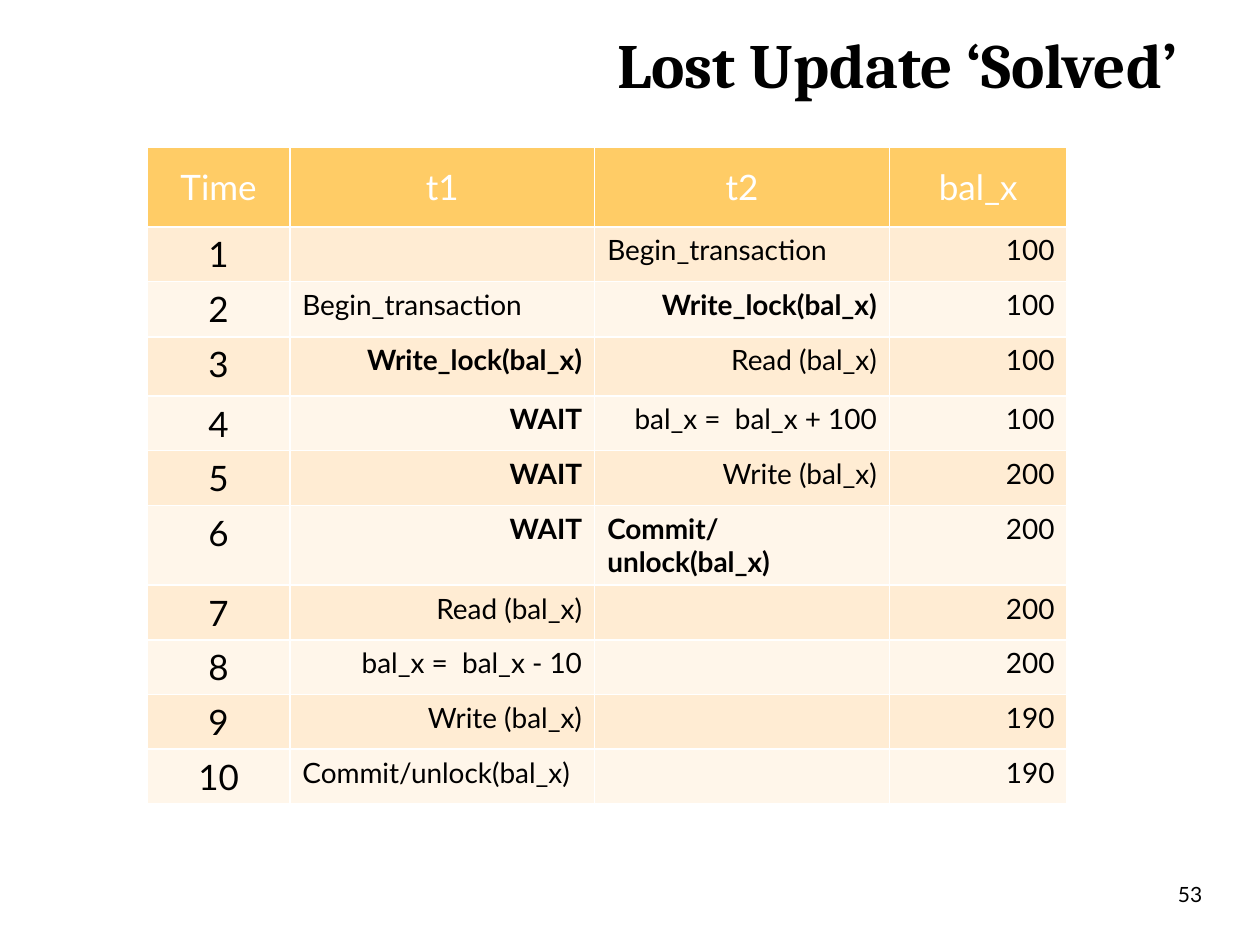
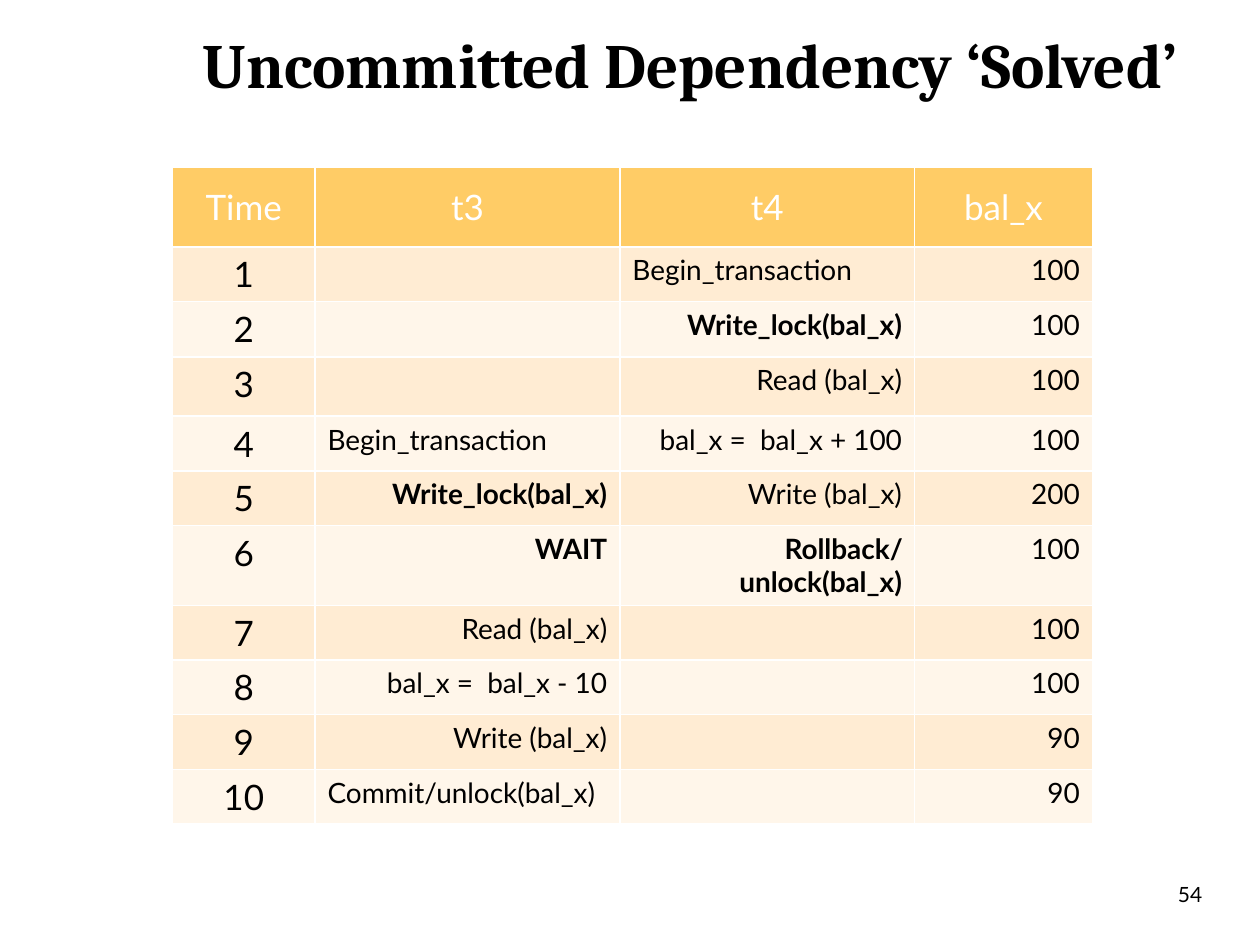
"""Build two slides showing how locking solves transaction conflicts."""
import dataclasses

import lxml.etree
import pptx
import pptx.dml.color
import pptx.enum.text
import pptx.oxml.ns
import pptx.util

Inches = pptx.util.Inches
Align = pptx.enum.text.PP_ALIGN
Anchor = pptx.enum.text.MSO_ANCHOR


@dataclasses.dataclass(frozen=True)
class Theme:
    """Colours, fonts and type sizes shared by the slides."""
    text: str = "000000"
    light: str = "FFFFFF"
    header: str = "FFCC66"
    bands: tuple = ("FFECD3", "FFF6EA")
    title_font: str = "Cambria"
    body_font: str = "Lato"
    title_size: int = 36
    label_size: int = 20
    step_size: int = 16
    number_size: int = 12
    border_width: int = 1


@dataclasses.dataclass(frozen=True)
class Step:
    """One operation of a transaction and how it is emphasised."""
    text: str
    bold: bool = False
    align: Align = Align.RIGHT


THEME = Theme()
COLUMN_WIDTHS = (1.13, 2.42, 2.34, 1.41)
ROW_HEIGHTS = (0.63, 0.43, 0.44, 0.47) + (0.43,) * 7

NONE = Step("")
BEGIN = Step("Begin_transaction", align=Align.LEFT)
LOCK = Step("Write_lock(bal_x)", bold=True)
WAIT = Step("WAIT", bold=True)
READ = Step("Read (bal_x)")
ADD = Step("bal_x =  bal_x + 100")
SUBTRACT = Step("bal_x =  bal_x - 10")
WRITE = Step("Write (bal_x)")
COMMIT = Step("Commit/unlock(bal_x)", align=Align.LEFT)
RELEASE = dataclasses.replace(COMMIT, bold=True)
ROLLBACK = Step("Rollback/unlock(bal_x)", bold=True)

FINISH = (READ, SUBTRACT, WRITE, COMMIT)
IDLE = (NONE,) * len(FINISH)
UPDATE = (BEGIN, LOCK, READ, ADD, WRITE)

LOST_UPDATE = {
    "t1": (NONE, BEGIN, LOCK, WAIT, WAIT, WAIT) + FINISH,
    "t2": UPDATE + (RELEASE,) + IDLE,
}
LOST_UPDATE_BALANCES = (100, 100, 100, 100, 200, 200, 200, 200, 190, 190)

UNCOMMITTED = {
    "t3": (NONE, NONE, NONE, BEGIN, LOCK, WAIT) + FINISH,
    "t4": UPDATE + (ROLLBACK,) + IDLE,
}
UNCOMMITTED_BALANCES = (100, 100, 100, 100, 200, 100, 100, 100, 90, 90)


def write_text(text_frame, text, size, font=THEME.body_font, color=THEME.text,
               bold=False, align=Align.LEFT):
    """Put one formatted paragraph in a text frame."""
    text_frame.text = text
    paragraph = text_frame.paragraphs[0]
    paragraph.alignment = align
    for run in paragraph.runs:
        run.font.name = font
        run.font.size = pptx.util.Pt(size)
        run.font.bold = bold
        run.font.color.rgb = pptx.dml.color.RGBColor.from_string(color)


def add_title(slide, title, left, width):
    """Add a right-aligned slide title."""
    shape = slide.shapes.add_textbox(Inches(left), Inches(0.13), Inches(width), Inches(0.75))
    shape.text_frame.word_wrap = True
    shape.text_frame.vertical_anchor = Anchor.MIDDLE
    write_text(shape.text_frame, title, THEME.title_size, THEME.title_font,
               bold=True, align=Align.RIGHT)


def add_slide_number(slide, number):
    """Add the slide number at the lower right."""
    shape = slide.shapes.add_textbox(Inches(9.25), Inches(6.95), Inches(0.47), Inches(0.3))
    shape.text_frame.word_wrap = True
    write_text(shape.text_frame, str(number), THEME.number_size)


def add_borders(cell):
    """Draw thin light borders on the four sides of a cell."""
    qualified = pptx.oxml.ns.qn
    properties = cell._tc.get_or_add_tcPr()
    for position, side in enumerate(("lnL", "lnR", "lnT", "lnB")):
        line = lxml.etree.Element(qualified(f"a:{side}"),
                                  w=str(pptx.util.Pt(THEME.border_width)))
        fill = lxml.etree.SubElement(line, qualified("a:solidFill"))
        lxml.etree.SubElement(fill, qualified("a:srgbClr"), val=THEME.light)
        properties.insert(position, line)


def fill_cell(cell, step, size, fill, color=THEME.text, anchor=Anchor.TOP):
    """Fill, border and write one table cell."""
    cell.fill.solid()
    cell.fill.fore_color.rgb = pptx.dml.color.RGBColor.from_string(fill)
    cell.vertical_anchor = anchor
    add_borders(cell)
    write_text(cell.text_frame, step.text, size, color=color, bold=step.bold, align=step.align)


def add_schedule(slide, left, top, transactions, balances):
    """Add the table of transaction steps and balances over time."""
    table = slide.shapes.add_table(
        len(ROW_HEIGHTS), len(COLUMN_WIDTHS), Inches(left), Inches(top),
        Inches(sum(COLUMN_WIDTHS)), Inches(sum(ROW_HEIGHTS))).table
    for column, width in zip(table.columns, COLUMN_WIDTHS):
        column.width = Inches(width)
    for row, height in zip(table.rows, ROW_HEIGHTS):
        row.height = Inches(height)

    for column, heading in enumerate(("Time", *transactions, "bal_x")):
        fill_cell(table.cell(0, column), Step(heading, align=Align.CENTER), THEME.label_size,
                  THEME.header, THEME.light, Anchor.MIDDLE)
    for time, (*steps, balance) in enumerate(zip(*transactions.values(), balances), start=1):
        band = THEME.bands[(time - 1) % 2]
        fill_cell(table.cell(time, 0), Step(str(time), align=Align.CENTER),
                  THEME.label_size, band)
        for column, step in enumerate((*steps, Step(str(balance))), start=1):
            fill_cell(table.cell(time, column), step, THEME.step_size, band)


def add_slide(presentation, number, title, title_left, title_width):
    """Add a blank slide with its title and number."""
    slide = presentation.slides.add_slide(presentation.slide_layouts[6])
    add_slide_number(slide, number)
    add_title(slide, title, title_left, title_width)
    return slide


def main():
    """Build and save the presentation."""
    presentation = pptx.Presentation()
    presentation.slide_width = Inches(10)
    presentation.slide_height = Inches(7.5)

    slide = add_slide(presentation, 53, "Lost Update ‘Solved’", 1.77, 7.67)
    add_schedule(slide, 1.17, 1.17, LOST_UPDATE, LOST_UPDATE_BALANCES)

    slide = add_slide(presentation, 54, "Uncommitted Dependency ‘Solved’", 1.06, 8.38)
    add_schedule(slide, 1.37, 1.33, UNCOMMITTED, UNCOMMITTED_BALANCES)

    presentation.save("out.pptx")


if __name__ == "__main__":
    main()
